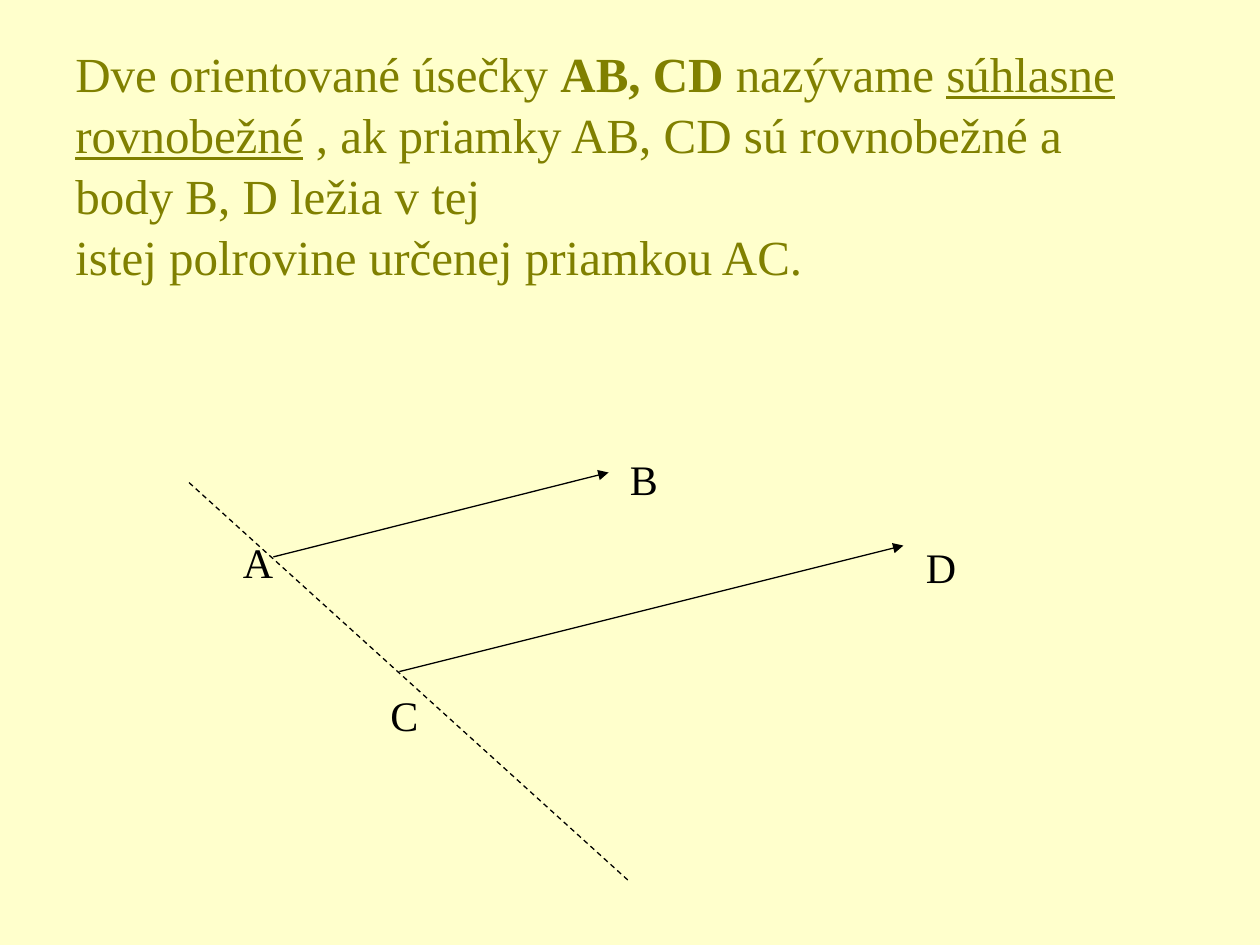
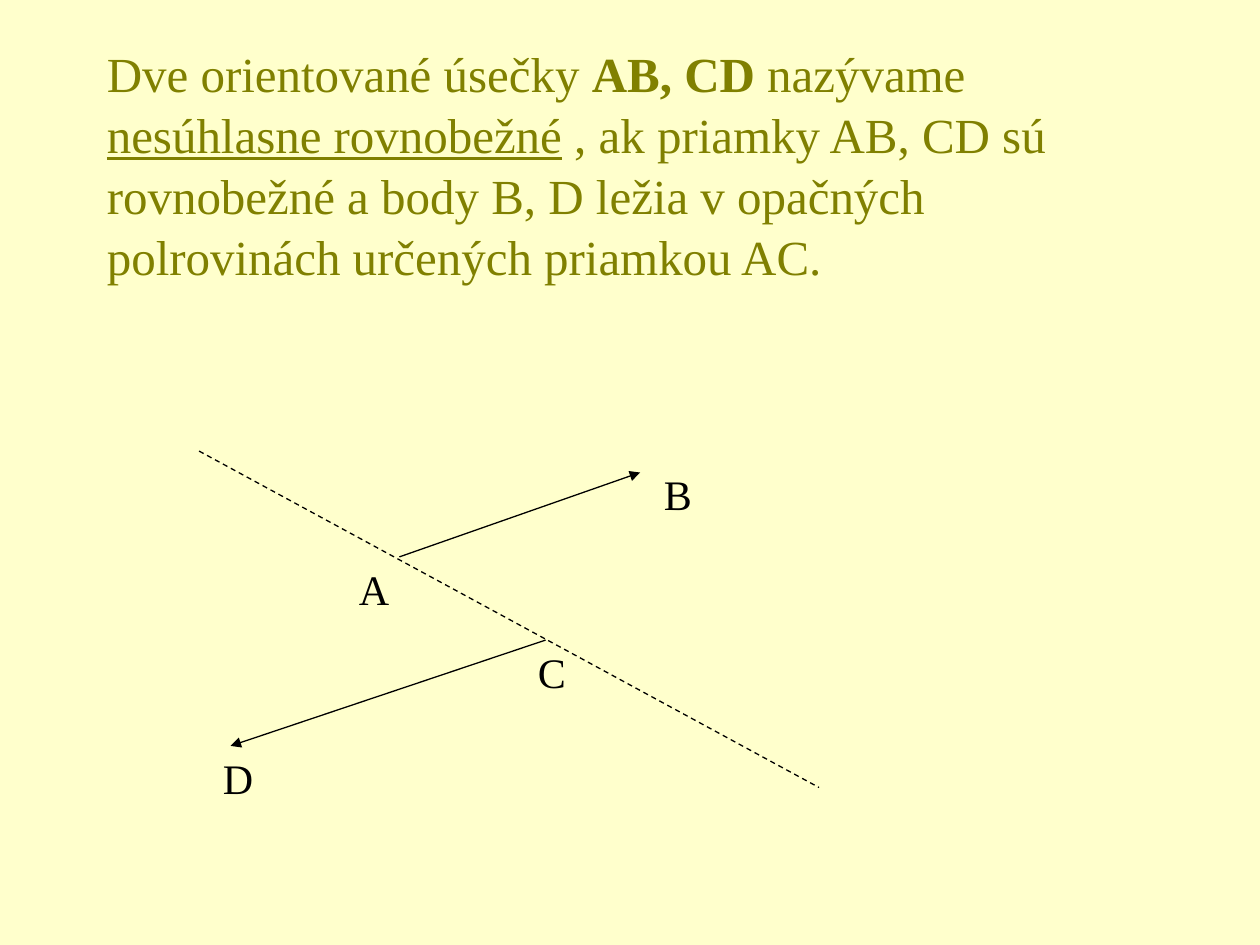
from dataclasses import dataclass

from lxml import etree
from pptx import Presentation
from pptx.dml.color import RGBColor
from pptx.enum.dml import MSO_LINE
from pptx.enum.shapes import MSO_CONNECTOR
from pptx.enum.text import MSO_ANCHOR
from pptx.oxml.ns import qn
from pptx.util import Inches, Pt

STRAIGHT = MSO_CONNECTOR.STRAIGHT
DASH = MSO_LINE.DASH
MIDDLE = MSO_ANCHOR.MIDDLE


@dataclass(frozen=True)
class Theme:
    background: RGBColor = RGBColor(0xFF, 0xFF, 0xCC)
    definition: RGBColor = RGBColor(0x80, 0x80, 0x00)
    ink: RGBColor = RGBColor(0, 0, 0)
    font: str = "Times New Roman"
    definition_size: int = 28
    label_size: int = 24
    line_width: float = 0.75
    definition_spacing: float = 1.04


THEME = Theme()
DEFINITION_FORMAT = {"name": THEME.font, "size": Pt(THEME.definition_size)}
LABEL_FORMAT = {"name": THEME.font, "size": Pt(THEME.label_size)}
PLAIN, BOLD, UNDERLINED = {}, {"bold": True}, {"underline": True}
DIAGRAM_ORIGIN = (1.5, 3.5)
LABEL_BOX = (0.5, 0.5)

DEFINITIONS = [
    {
        "box": (0.5, 0.67, 8.75, 1.25),
        "term": "súhlasne rovnobežné",
        "condition": [
            " , ak priamky AB, CD sú rovnobežné a body B, D ležia v tej ",
            "istej polrovine určenej priamkou AC.",
        ],
        "points": {"A": (0.67, 0.92), "B": (3.33, 0.25),
                   "C": (1.67, 1.83), "D": (5.67, 0.83)},
        "labels": {"A": (0.33, 0.71), "B": (3.4, 0.05),
                   "C": (1.5, 1.92), "D": (5.75, 0.75)},
        "boundary": ((0, 0.33), (3.5, 3.5)),
    },
    {
        "box": (0.75, 0.67, 8.5, 1.25),
        "term": "nesúhlasne rovnobežné",
        "condition": [
            " , ak priamky AB, CD sú rovnobežné a body B, D ležia v opačných "
            "polrovinách určených priamkou AC.",
        ],
        "points": {"A": (1.67, 0.92), "B": (3.58, 0.25),
                   "C": (2.83, 1.58), "D": (0.33, 2.42)},
        "labels": {"A": (1.25, 0.92), "B": (3.67, 0.17),
                   "C": (2.67, 1.58), "D": (0.17, 2.42)},
        "boundary": ((0.08, 0.08), (5, 2.75)),
    },
]


def add_text_frame(slide, box):
    frame = slide.shapes.add_textbox(*map(Inches, box)).text_frame
    frame.word_wrap = True
    return frame


def add_run(paragraph, text, formats, color):
    run = paragraph.add_run()
    run.text = text
    for attribute, value in formats.items():
        setattr(run.font, attribute, value)
    run.font.color.rgb = color


def add_definition(slide, box, term, condition):
    frame = add_text_frame(slide, box)
    frame.vertical_anchor = MIDDLE
    sentence = frame.paragraphs[0]
    sentence.line_spacing = THEME.definition_spacing
    parts = [
        ("Dve orientované úsečky ", PLAIN),
        ("AB, CD", BOLD),
        (" nazývame ", PLAIN),
        (term, UNDERLINED),
        (condition[0], PLAIN),
    ]
    for text, emphasis in parts:
        add_run(sentence, text, DEFINITION_FORMAT | emphasis, THEME.definition)
    for text in condition[1:]:
        sentence.add_line_break()
        add_run(sentence, text, DEFINITION_FORMAT, THEME.definition)


def add_line(slide, start, end):
    connector = slide.shapes.add_connector(STRAIGHT, *map(Inches, (*start, *end)))
    connector.line.color.rgb = THEME.ink
    connector.line.width = Pt(THEME.line_width)
    etree.SubElement(connector._element.spPr, qn("a:effectLst"))
    return connector.line


def add_segment(slide, start, end):
    line = add_line(slide, start, end)
    etree.SubElement(line._get_or_add_ln(), qn("a:tailEnd"), type="triangle")


def add_diagram(slide, origin, points, labels, boundary):
    def place(offset):
        return origin[0] + offset[0], origin[1] + offset[1]

    for start, end in ("AB", "CD"):
        add_segment(slide, place(points[start]), place(points[end]))
    add_line(slide, *map(place, boundary)).dash_style = DASH
    for letter, offset in labels.items():
        frame = add_text_frame(slide, (*place(offset), *LABEL_BOX))
        add_run(frame.paragraphs[0], letter, LABEL_FORMAT, THEME.ink)


def add_definition_slide(deck, content):
    slide = deck.slides.add_slide(deck.slide_layouts[6])
    slide.background.fill.solid()
    slide.background.fill.fore_color.rgb = THEME.background
    add_definition(slide, content["box"], content["term"], content["condition"])
    add_diagram(slide, DIAGRAM_ORIGIN, content["points"], content["labels"],
                content["boundary"])


def main():
    deck = Presentation()
    deck.slide_width, deck.slide_height = Inches(10), Inches(7.5)
    for content in DEFINITIONS:
        add_definition_slide(deck, content)
    deck.save("out.pptx")


if __name__ == "__main__":
    main()
